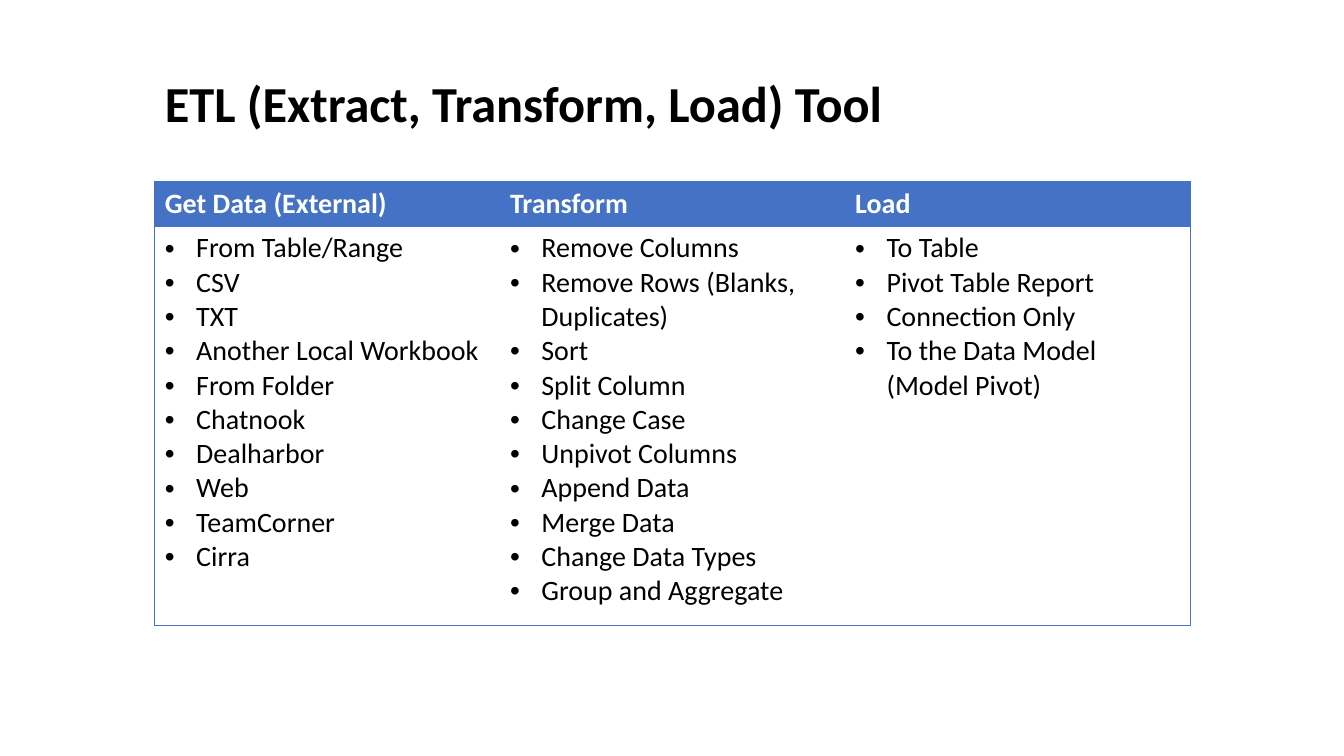
"""Build a one-slide overview of an extract, transform and load tool."""
from lxml.etree import SubElement
from pptx import Presentation
from pptx.dml.color import RGBColor
from pptx.enum.text import MSO_ANCHOR as Anchor, MSO_AUTO_SIZE as AutoSize, PP_ALIGN as Align
from pptx.oxml import parse_xml
from pptx.oxml.ns import nsdecls, qn
from pptx.util import Cm, Pt

BLUE = RGBColor(0x44, 0x72, 0xC4)
WHITE = RGBColor(0xFF, 0xFF, 0xFF)
BLACK = RGBColor(0x00, 0x00, 0x00)

STAGES = {
    "Get Data (External)": [
        "From Table/Range", "CSV", "TXT", "Another Local Workbook", "From Folder",
        "Chatnook", "Dealharbor", "Web", "TeamCorner", "Cirra",
    ],
    "Transform": [
        "Remove Columns", "Remove Rows (Blanks, Duplicates)", "Sort", "Split Column",
        "Change Case", "Unpivot Columns", "Append Data", "Merge Data",
        "Change Data Types", "Group and Aggregate",
    ],
    "Load": [
        "To Table", "Pivot Table Report", "Connection Only",
        "To the Data Model (Model Pivot)",
    ],
}


def write(para, text, size=20, color=BLACK, bold=False, bullet=False):
    para.alignment = Align.LEFT
    span = para.add_run()
    span.text = text
    span.font.name = "Calibri"
    span.font.size = Pt(size)
    span.font.bold = bold
    span.font.color.rgb = color
    if bullet:
        props = para._p.get_or_add_pPr()
        props.set("marL", str(Cm(0.79)))
        props.set("indent", str(-Cm(0.79)))
        SubElement(props, qn("a:buFont")).set("typeface", "Arial")
        SubElement(props, qn("a:buChar")).set("char", "•")


class SlideBuilder:
    def __init__(self, deck, left, accent):
        self.page = deck.slides.add_slide(deck.slide_layouts[5])
        self.left = left
        self.accent = accent

    def title(self, text, top, width, height):
        box = self.page.shapes.title
        box.left, box.top, box.width, box.height = self.left, top, width, height
        box.line.color.rgb = WHITE
        box.line.width = Pt(0.75)
        frame = box.text_frame
        frame.word_wrap = True
        frame.auto_size = AutoSize.NONE
        frame.vertical_anchor = Anchor.TOP
        write(frame.paragraphs[0], text, size=36, bold=True)

    def table(self, stages, top, column_width, row_heights):
        count = len(stages)
        table = self.page.shapes.add_table(
            2, count, self.left, top, column_width * count, sum(row_heights)).table
        table.first_row = table.horz_banding = False
        for row, height in zip(table.rows, row_heights):
            row.height = height
        for index, (heading, steps) in enumerate(stages.items()):
            table.columns[index].width = column_width
            header, body = table.cell(0, index), table.cell(1, index)
            header.fill.solid()
            header.fill.fore_color.rgb = self.accent
            body.fill.background()
            write(header.text_frame.paragraphs[0], heading, color=WHITE, bold=True)
            frame = body.text_frame
            for position, step in enumerate(steps):
                para = frame.add_paragraph() if position else frame.paragraphs[0]
                write(para, step, bullet=True)
            sides = {"L": index == 0, "R": index == count - 1, "T": True, "B": True}
            self.borders(header, sides)
            self.borders(body, sides)

    def borders(self, cell, sides):
        props = cell._tc.get_or_add_tcPr()
        for order, (side, visible) in enumerate(sides.items()):
            paint = (f'<a:solidFill><a:srgbClr val="{self.accent}"/></a:solidFill>'
                     if visible else "<a:noFill/>")
            props.insert(order, parse_xml(
                f'<a:ln{side} {nsdecls("a")} w="{Pt(0.5)}">{paint}</a:ln{side}>'))


def main():
    deck = Presentation()
    deck.slide_width, deck.slide_height = Cm(33.87), Cm(19.05)
    builder = SlideBuilder(deck, left=Cm(3.9), accent=BLUE)
    builder.table(STAGES, top=Cm(4.58), column_width=Cm(8.7),
                  row_heights=[Cm(1.12), Cm(10.06)])
    builder.title("ETL (Extract, Transform, Load) Tool",
                  top=Cm(1.7), width=Cm(21.36), height=Cm(1.8))
    deck.save("out.pptx")


if __name__ == "__main__":
    main()
